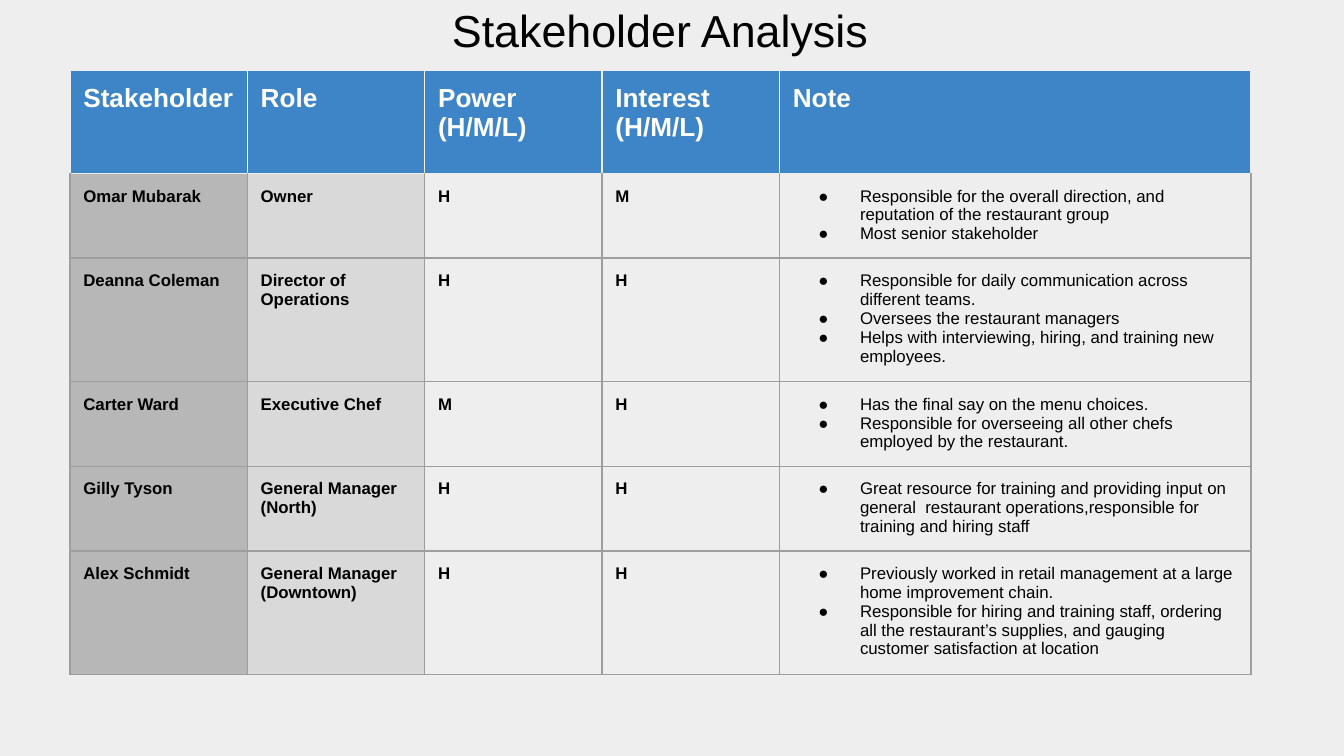
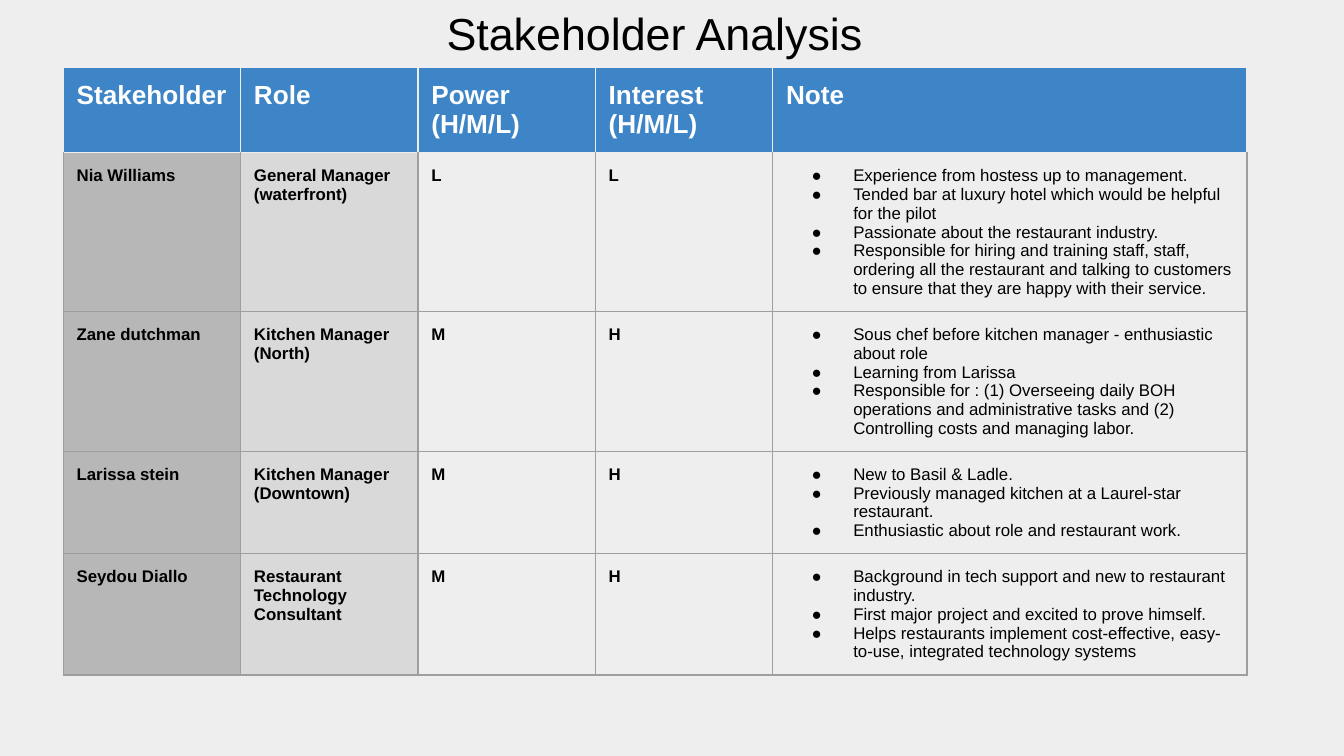
from dataclasses import dataclass

from lxml import etree
from pptx import Presentation
from pptx.dml.color import RGBColor
from pptx.enum.text import MSO_ANCHOR, MSO_AUTO_SIZE, PP_ALIGN
from pptx.oxml.ns import qn
from pptx.util import Inches, Pt

BOTTOM = MSO_ANCHOR.BOTTOM
TOP = MSO_ANCHOR.TOP
NO_AUTOFIT = MSO_AUTO_SIZE.NONE
CENTER = PP_ALIGN.CENTER
LEFT = PP_ALIGN.LEFT
TITLE_ONLY = 5
SLIDE_WIDTH = Inches(10)
SLIDE_HEIGHT = SLIDE_WIDTH * 9 // 16


@dataclass(frozen=True)
class Theme:
    """Colours, type sizes and measures shared by the slides."""

    font: str = "Arial"
    background: str = "EEEEEE"
    header: str = "3D85C6"
    header_text: str = "FFFFFF"
    name_fill: str = "B7B7B7"
    role_fill: str = "D9D9D9"
    grid: str = "9E9E9E"
    text: str = "000000"
    title_size: int = 24
    header_size: int = 14
    body_size: int = 9
    grid_width: float = 0.75
    inset: float = 0.1
    bullet_indent: float = 0.5
    bullet_hang: float = 0.31


THEME = Theme()
TITLE = "Stakeholder Analysis"
HEADINGS = [["Stakeholder"], ["Role"], ["Power", "(H/M/L)"],
            ["Interest", "(H/M/L)"], ["Note"]]
NOTE_COLUMN = len(HEADINGS) - 1
NARROW_COLUMN = 1.32
COLUMN_FILLS = {0: THEME.name_fill, 1: THEME.role_fill}
MARGINS = {f"margin_{side}": Inches(THEME.inset)
           for side in ("left", "right", "top", "bottom")}

LEADERS = [
    ("Omar Mubarak", "Owner", "H", "M", [
        "Responsible for the overall direction, and reputation of the restaurant group",
        "Most senior stakeholder"]),
    ("Deanna Coleman", "Director of Operations", "H", "H", [
        "Responsible for daily communication across different teams.",
        "Oversees the restaurant managers",
        "Helps with interviewing, hiring, and training new employees."]),
    ("Carter Ward", "Executive Chef", "M", "H", [
        "Has the final say on the menu choices.",
        "Responsible for overseeing all other chefs employed by the restaurant."]),
    ("Gilly Tyson", "General Manager (North)", "H", "H", [
        "Great resource for training and providing input on general  restaurant "
        "operations,responsible for training and hiring staff"]),
    ("Alex Schmidt", "General Manager (Downtown)", "H", "H", [
        "Previously worked in retail management at a large home improvement chain.",
        "Responsible for hiring and training staff, ordering all the restaurant’s "
        "supplies, and gauging customer satisfaction at location"]),
]
MANAGERS = [
    ("Nia Williams", "General Manager (waterfront)", "L", "L", [
        "Experience from hostess up to management.",
        "Tended bar at luxury hotel which would be helpful for the pilot",
        "Passionate about the restaurant industry.",
        "Responsible for hiring and training staff, staff, ordering all the restaurant "
        "and talking to customers to ensure that they are happy with their service."]),
    ("Zane dutchman", "Kitchen Manager (North)", "M", "H", [
        "Sous chef before kitchen manager - enthusiastic about role",
        "Learning from Larissa",
        "Responsible for : (1) Overseeing daily BOH operations and administrative "
        "tasks and (2) Controlling costs and managing labor."]),
    ("Larissa stein", "Kitchen Manager (Downtown)", "M", "H", [
        "New to Basil & Ladle.",
        "Previously managed kitchen at a Laurel-star restaurant.",
        "Enthusiastic about role and restaurant work."]),
    ("Seydou Diallo", "Restaurant Technology Consultant", "M", "H", [
        "Background in tech support and new to restaurant industry.",
        "First major project and excited to prove himself.",
        "Helps restaurants implement cost-effective, easy-to-use, integrated "
        "technology systems"]),
]
SLIDES = [
    {"stakeholders": LEADERS, "title_box": (0.25, -0.2, 9.32, 0.72),
     "table_at": (0.52, 0.52), "note_width": 3.51,
     "heights": [0.77, 0.63, 0.92, 0.63, 0.63, 0.92]},
    {"stakeholders": MANAGERS, "title_box": (0.21, -0.18, 9.32, 0.72),
     "table_at": (0.47, 0.5), "note_width": 3.53,
     "heights": [0.42] * (len(MANAGERS) + 1)},
]


def apply(target, values):
    """Set each attribute named in a dict of format values."""
    for key, value in values.items():
        setattr(target, key, value)


def write(paragraph, text, size, color, bold, align=LEFT):
    """Write one formatted line into a paragraph."""
    paragraph.alignment = align
    run = paragraph.add_run()
    run.text = text
    apply(run.font, {"name": THEME.font, "size": Pt(size), "bold": bold})
    run.font.color.rgb = RGBColor.from_string(color)


def add_bullet(paragraph):
    """Give a paragraph a hanging round bullet."""
    properties = paragraph._p.get_or_add_pPr()
    properties.set("marL", str(Inches(THEME.bullet_indent)))
    properties.set("indent", str(-Inches(THEME.bullet_hang)))
    bullet_color = etree.SubElement(properties, qn("a:buClr"))
    etree.SubElement(bullet_color, qn("a:srgbClr"), val=THEME.text)
    etree.SubElement(properties, qn("a:buFont"), typeface=THEME.font)
    etree.SubElement(properties, qn("a:buChar"), char="●")


def set_borders(cell, top, others):
    """Draw the four borders of a cell, the top one in its own colour."""
    properties = cell._tc.get_or_add_tcPr()
    for position, side in enumerate("LRTB"):
        line = etree.Element(qn(f"a:ln{side}"), w=str(Pt(THEME.grid_width)))
        fill = etree.SubElement(line, qn("a:solidFill"))
        etree.SubElement(fill, qn("a:srgbClr"), val=top if side == "T" else others)
        properties.insert(position, line)


def fill_cell(cell, lines, row, column):
    """Write and format one cell according to its row and column."""
    is_header = row == 0
    is_note = column == NOTE_COLUMN and not is_header
    fill = THEME.header if is_header else COLUMN_FILLS.get(column)
    apply(cell, {**MARGINS, "vertical_anchor": TOP})
    if fill:
        cell.fill.solid()
        cell.fill.fore_color.rgb = RGBColor.from_string(fill)
    else:
        cell.fill.background()
    set_borders(cell, THEME.background if row <= 1 else THEME.grid,
                THEME.background if is_header else THEME.grid)
    size = THEME.header_size if is_header else THEME.body_size
    color = THEME.header_text if is_header else THEME.text
    for index, text in enumerate(lines):
        frame = cell.text_frame
        paragraph = frame.add_paragraph() if index else frame.paragraphs[0]
        write(paragraph, text, size, color, not is_note)
        if is_note:
            add_bullet(paragraph)


def place_title(slide, box):
    """Move the title placeholder into its box and write the title."""
    title = slide.shapes.title
    apply(title, dict(zip(("left", "top", "width", "height"), map(Inches, box))))
    frame = title.text_frame
    apply(frame, {**MARGINS, "vertical_anchor": BOTTOM, "word_wrap": True,
                  "auto_size": NO_AUTOFIT})
    write(frame.paragraphs[0], TITLE, THEME.title_size, THEME.text, False, CENTER)


def add_stakeholder_table(slide, stakeholders, corner, note_width, heights):
    """Build the stakeholder table from its top left corner."""
    widths = [NARROW_COLUMN] * NOTE_COLUMN + [note_width]
    size = (sum(widths), sum(heights))
    table = slide.shapes.add_table(len(heights), len(widths),
                                   *map(Inches, (*corner, *size))).table
    table.horz_banding = False
    for column, width in zip(table.columns, widths):
        column.width = Inches(width)
    for row, height in zip(table.rows, heights):
        row.height = Inches(height)
    body = [[[field] for field in fields] + [notes]
            for *fields, notes in stakeholders]
    for row, entries in enumerate([HEADINGS, *body]):
        for column, lines in enumerate(entries):
            fill_cell(table.cell(row, column), lines, row, column)


def add_analysis_slide(deck, stakeholders, title_box, table_at, note_width, heights):
    """Add one stakeholder analysis slide."""
    slide = deck.slides.add_slide(deck.slide_layouts[TITLE_ONLY])
    place_title(slide, title_box)
    add_stakeholder_table(slide, stakeholders, table_at, note_width, heights)


def main():
    """Build and save the presentation."""
    deck = Presentation()
    apply(deck, {"slide_width": SLIDE_WIDTH, "slide_height": SLIDE_HEIGHT})
    backdrop = deck.slide_master.background.fill
    backdrop.solid()
    backdrop.fore_color.rgb = RGBColor.from_string(THEME.background)
    for content in SLIDES:
        add_analysis_slide(deck, **content)
    deck.save("out.pptx")


if __name__ == "__main__":
    main()
